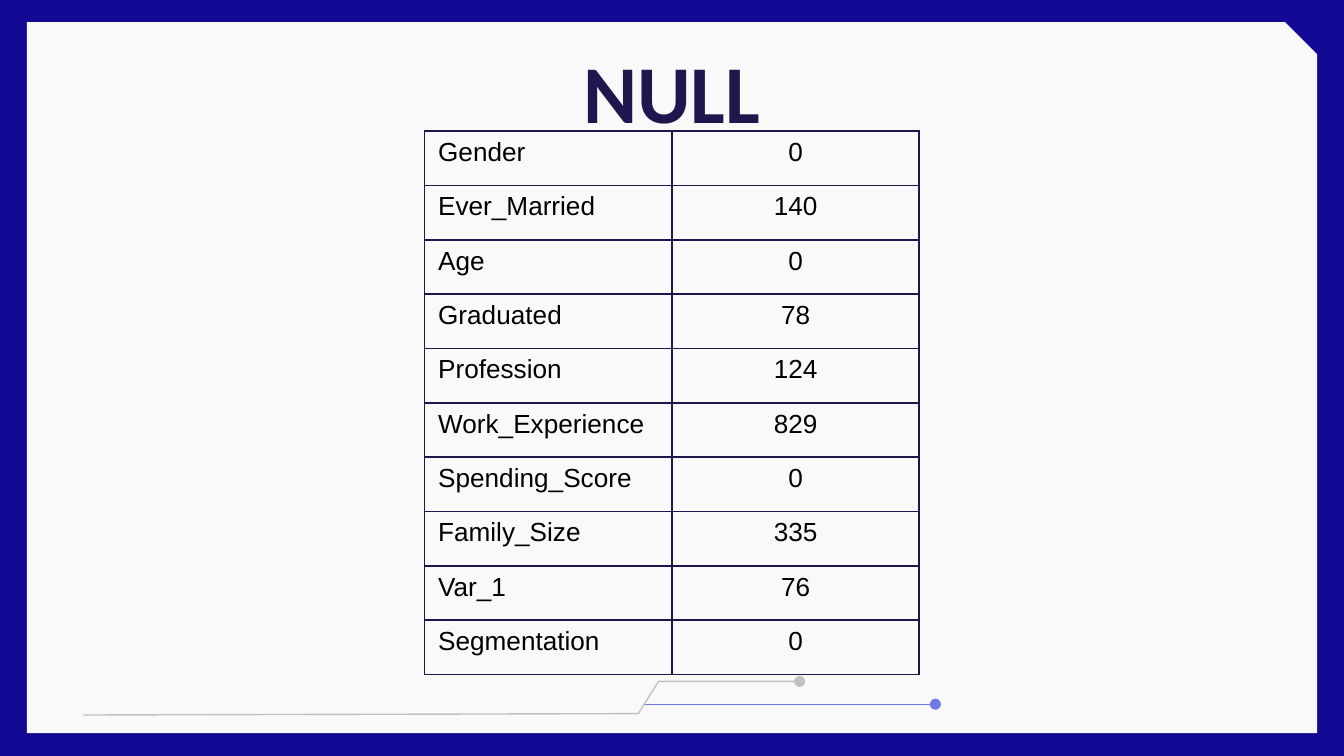
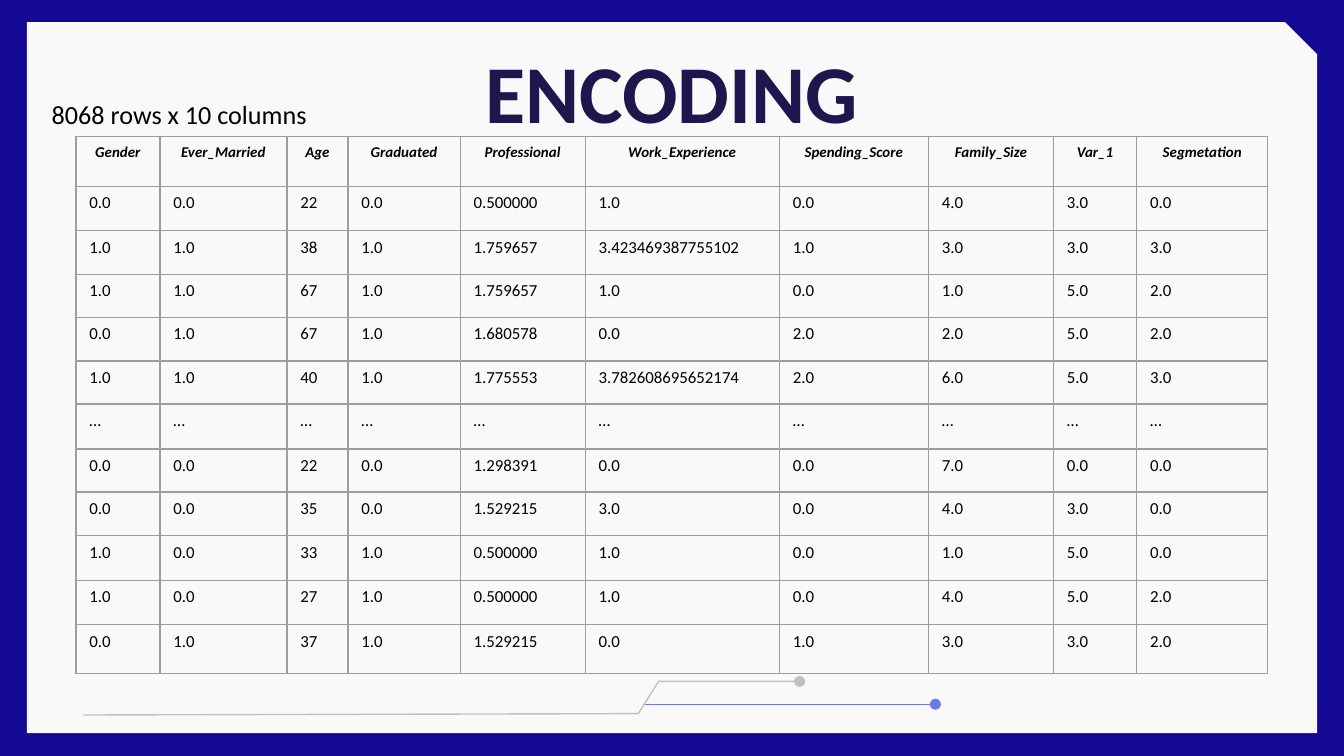
from dataclasses import dataclass

from lxml import etree
from pptx import Presentation
from pptx.dml.color import RGBColor
from pptx.enum.shapes import MSO_CONNECTOR, MSO_SHAPE
from pptx.enum.text import MSO_ANCHOR, MSO_AUTO_SIZE, PP_ALIGN
from pptx.oxml.ns import qn
from pptx.util import Emu, Pt

STRAIGHT = MSO_CONNECTOR.STRAIGHT
SNIPPED_RECTANGLE = MSO_SHAPE.SNIP_1_RECTANGLE
TOP = MSO_ANCHOR.TOP
GROW = MSO_AUTO_SIZE.SHAPE_TO_FIT_TEXT
LEFT, CENTER = PP_ALIGN.LEFT, PP_ALIGN.CENTER

EMU_PER_PX = 4572
SLIDE_WIDTH, SLIDE_HEIGHT = 2000, 1125
BLANK_LAYOUT = 6


@dataclass(frozen=True)
class Theme:
    frame: str = "130994"
    panel: str = "F9F9F9"
    title: str = "1F164D"
    text: str = "000000"
    grid: str = "9E9E9E"
    accent: str = "6F79E3"
    trace: str = "C1C1C1"
    body_font: str = "Calibri"
    count_font: str = "Arial"
    title_size: int = 44
    text_size: int = 14
    header_size: int = 8
    value_size: int = 9
    thin_line: float = 0.75
    thick_line: float = 1


THEME = Theme()


@dataclass(frozen=True)
class Box:
    left: int
    top: int
    width: int
    height: int


@dataclass(frozen=True)
class TextStyle:
    size: int
    font: str = THEME.body_font
    color: str = THEME.text
    bold: bool = False
    italic: bool = False
    align: PP_ALIGN = LEFT
    spacing: float = 1.0


@dataclass(frozen=True)
class TableDesign:
    box: Box
    column_weights: list[int]
    row_weights: list[int]
    border_color: str
    border_width: float


TITLE_STYLE = TextStyle(THEME.title_size, color=THEME.title, bold=True, align=CENTER, spacing=1.15)
CAPTION_STYLE = TextStyle(THEME.text_size, align=CENTER)
NAME_STYLE = TextStyle(THEME.text_size, THEME.count_font)
COUNT_STYLE = TextStyle(THEME.text_size, THEME.count_font, align=CENTER)
HEADER_STYLE = TextStyle(THEME.header_size, bold=True, italic=True, align=CENTER)
VALUE_STYLE = TextStyle(THEME.value_size)

PANEL_BOX = Box(40, 33, 1920, 1058)
PANEL_SNIP = 0.045
TITLE_BOX = Box(0, 30, 2000, 176)
CAPTION_BOX = Box(-36, 136, 606, 68)
TRACE_POINTS = [(124, 1064), (950, 1062), (980, 1014), (1134, 1014), (1190, 1014)]
ACCENT_START, ACCENT_END = (1392, 1048), (960, 1048)

NULL_COUNTS = [
    ("Gender", "0"),
    ("Ever_Married", "140"),
    ("Age", "0"),
    ("Graduated", "78"),
    ("Profession", "124"),
    ("Work_Experience", "829"),
    ("Spending_Score", "0"),
    ("Family_Size", "335"),
    ("Var_1", "76"),
    ("Segmentation", "0"),
]
NULL_DESIGN = TableDesign(
    Box(632, 195, 736, 809), [1, 1], [1] * len(NULL_COUNTS), THEME.title, THEME.thick_line
)

ENCODING_HEADERS = (
    "Gender Ever_Married Age Graduated Professional "
    "Work_Experience Spending_Score Family_Size Var_1 Segmetation"
).split()
FIRST_ROWS = [
    "0.0 0.0 22 0.0 0.500000 1.0 0.0 4.0 3.0 0.0",
    "1.0 1.0 38 1.0 1.759657 3.423469387755102 1.0 3.0 3.0 3.0",
    "1.0 1.0 67 1.0 1.759657 1.0 0.0 1.0 5.0 2.0",
    "0.0 1.0 67 1.0 1.680578 0.0 2.0 2.0 5.0 2.0",
    "1.0 1.0 40 1.0 1.775553 3.782608695652174 2.0 6.0 5.0 3.0",
]
LAST_ROWS = [
    "0.0 0.0 22 0.0 1.298391 0.0 0.0 7.0 0.0 0.0",
    "0.0 0.0 35 0.0 1.529215 3.0 0.0 4.0 3.0 0.0",
    "1.0 0.0 33 1.0 0.500000 1.0 0.0 1.0 5.0 0.0",
    "1.0 0.0 27 1.0 0.500000 1.0 0.0 4.0 5.0 2.0",
    "0.0 1.0 37 1.0 1.529215 0.0 1.0 3.0 3.0 2.0",
]
ENCODING_ROWS = [
    *(row.split() for row in FIRST_ROWS),
    ["…"] * len(ENCODING_HEADERS),
    *(row.split() for row in LAST_ROWS),
]
ENCODING_DESIGN = TableDesign(
    Box(113, 203, 1774, 800),
    [125, 189, 91, 167, 186, 289, 222, 186, 124, 195],
    [74, 66, 65, 64, 65, 64, 67, 64, 65, 66, 66, 73],
    THEME.grid,
    THEME.thin_line,
)


def px(length: int) -> Emu:
    return Emu(length * EMU_PER_PX)


def place(box: Box) -> tuple[Emu, Emu, Emu, Emu]:
    return px(box.left), px(box.top), px(box.width), px(box.height)


def share(total: int, weights: list[int]) -> list[Emu]:
    return [Emu(round(px(total) * weight / sum(weights))) for weight in weights]


def rgb(color: str) -> RGBColor:
    return RGBColor.from_string(color)


def write(text_frame, text: str, style: TextStyle) -> None:
    paragraph = text_frame.paragraphs[0]
    paragraph.alignment = style.align
    paragraph.line_spacing = style.spacing
    run = paragraph.add_run()
    run.text = text
    run.font.name = style.font
    run.font.size = Pt(style.size)
    run.font.bold = style.bold
    run.font.italic = style.italic
    run.font.color.rgb = rgb(style.color)


def add_text(slide, box: Box, text: str, style: TextStyle) -> None:
    text_frame = slide.shapes.add_textbox(*place(box)).text_frame
    text_frame.word_wrap = True
    text_frame.auto_size = GROW
    text_frame.vertical_anchor = TOP
    write(text_frame, text, style)


def style_line(shape, color: str, oval_end: str) -> None:
    shape.line.color.rgb = rgb(color)
    shape.line.width = Pt(THEME.thin_line)
    line = shape.line._get_or_add_ln()
    etree.SubElement(line, qn(oval_end), type="oval")


def add_panel(slide) -> None:
    panel = slide.shapes.add_shape(SNIPPED_RECTANGLE, *place(PANEL_BOX))
    panel.adjustments[0] = PANEL_SNIP
    panel.shadow.inherit = False
    panel.fill.solid()
    panel.fill.fore_color.rgb = rgb(THEME.panel)
    panel.line.fill.background()


def add_circuit(slide) -> None:
    accent = slide.shapes.add_connector(
        STRAIGHT, *(px(value) for value in ACCENT_START + ACCENT_END)
    )
    style_line(accent, THEME.accent, "a:headEnd")
    etree.SubElement(accent._element.spPr, qn("a:effectLst"))

    builder = slide.shapes.build_freeform(*TRACE_POINTS[0], scale=EMU_PER_PX)
    builder.add_line_segments(TRACE_POINTS[1:], close=False)
    trace = builder.convert_to_shape()
    trace.fill.background()
    trace.shadow.inherit = False
    style_line(trace, THEME.trace, "a:tailEnd")


def add_slide(presentation, title: str):
    slide = presentation.slides.add_slide(presentation.slide_layouts[BLANK_LAYOUT])
    slide.background.fill.solid()
    slide.background.fill.fore_color.rgb = rgb(THEME.frame)
    add_panel(slide)
    add_circuit(slide)
    add_text(slide, TITLE_BOX, title, TITLE_STYLE)
    return slide


def style_cell(cell, design: TableDesign) -> None:
    properties = cell._tc.get_or_add_tcPr()
    for side in ("a:lnL", "a:lnR", "a:lnT", "a:lnB"):
        border = etree.SubElement(properties, qn(side), w=str(Pt(design.border_width)))
        fill = etree.SubElement(border, qn("a:solidFill"))
        etree.SubElement(fill, qn("a:srgbClr"), val=design.border_color)
    cell.fill.background()


def add_table(slide, design: TableDesign, rows: list[list[tuple[str, TextStyle]]]) -> None:
    table = slide.shapes.add_table(len(rows), len(rows[0]), *place(design.box)).table
    table.first_row = False
    table.horz_banding = False
    for column, width in zip(table.columns, share(design.box.width, design.column_weights)):
        column.width = width
    for row, height in zip(table.rows, share(design.box.height, design.row_weights)):
        row.height = height
    for row, entries in zip(table.rows, rows):
        for cell, (text, style) in zip(row.cells, entries):
            style_cell(cell, design)
            write(cell.text_frame, text, style)


def build_null(presentation) -> None:
    slide = add_slide(presentation, "NULL")
    rows = [[(name, NAME_STYLE), (count, COUNT_STYLE)] for name, count in NULL_COUNTS]
    add_table(slide, NULL_DESIGN, rows)


def build_encoding(presentation) -> None:
    slide = add_slide(presentation, "ENCODING")
    rows = [[(header, HEADER_STYLE) for header in ENCODING_HEADERS]]
    rows += [[(value, VALUE_STYLE) for value in values] for values in ENCODING_ROWS]
    add_table(slide, ENCODING_DESIGN, rows)
    add_text(slide, CAPTION_BOX, "8068 rows x 10 columns", CAPTION_STYLE)


def main() -> None:
    presentation = Presentation()
    presentation.slide_width = px(SLIDE_WIDTH)
    presentation.slide_height = px(SLIDE_HEIGHT)
    build_null(presentation)
    build_encoding(presentation)
    presentation.save("out.pptx")


if __name__ == "__main__":
    main()
